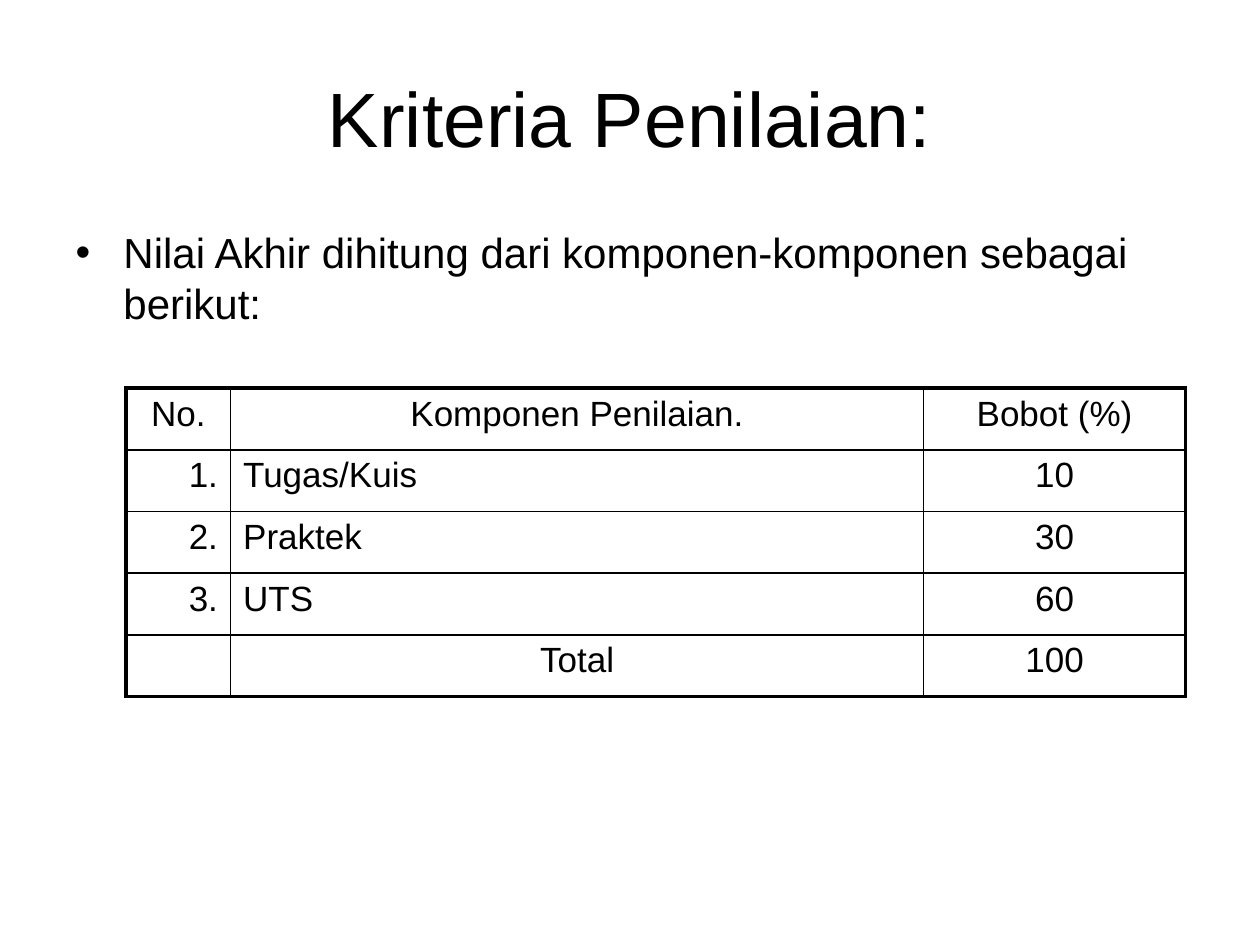
from lxml.etree import SubElement
from pptx import Presentation
from pptx.dml.color import RGBColor
from pptx.enum.text import MSO_ANCHOR, PP_ALIGN
from pptx.oxml.ns import qn
from pptx.util import Inches, Pt

TITLE = "Kriteria Penilaian:"
LEAD = "Nilai Akhir dihitung dari komponen-komponen sebagai berikut:"
ROWS = [
    ("No.", "Komponen Penilaian.", "Bobot (%)"),
    ("1.", "Tugas/Kuis", "10"),
    ("2.", "Praktek", "30"),
    ("3.", "UTS", "60"),
    ("", "Total", "100"),
]
WIDTHS = [0.83, 5.5, 2.08]
HEIGHT = 0.49
ALIGNS = [PP_ALIGN.RIGHT, PP_ALIGN.LEFT, PP_ALIGN.CENTER]
COLORS = {"ink": "000000", "back": "FFFFFF"}
THIN, THICK = 1, 2.25


def place(shape, left, top, width, height):
    shape.left, shape.top = Inches(left), Inches(top)
    shape.width, shape.height = Inches(width), Inches(height)


def style(para, size, align):
    para.alignment = align
    para.space_before = Pt(0)
    para.font.name = "Arial"
    para.font.size = Pt(size)
    para.font.bold = False
    para.font.color.rgb = RGBColor.from_string(COLORS["ink"])


def bullet(para, indent):
    props = para._p.get_or_add_pPr()
    props.set("marL", str(Inches(indent)))
    props.set("indent", str(-Inches(indent)))
    SubElement(props, qn("a:buFont"), typeface="Arial")
    SubElement(props, qn("a:buChar"), char="•")


def border(cell, sides):
    props = cell._tc.get_or_add_tcPr()
    for side, outer in sides.items():
        width = Pt(THICK if outer else THIN)
        line = SubElement(props, qn(f"a:ln{side}"), w=str(width))
        fill = SubElement(line, qn("a:solidFill"))
        SubElement(fill, qn("a:srgbClr"), val=COLORS["ink"])


deck = Presentation()
deck.slide_width, deck.slide_height = Inches(10), Inches(7.5)
slide = deck.slides.add_slide(deck.slide_layouts[1])
slide.background.fill.solid()
slide.background.fill.fore_color.rgb = RGBColor.from_string(COLORS["back"])

title = slide.shapes.title
place(title, 0.5, 0.3, 9, 1.25)
title.text_frame.text = TITLE
title.text_frame.vertical_anchor = MSO_ANCHOR.MIDDLE
style(title.text_frame.paragraphs[0], 44, PP_ALIGN.CENTER)

body = slide.placeholders[1]
place(body, 0.5, 1.75, 9, 0.92)
body.text_frame.text = LEAD
lead = body.text_frame.paragraphs[0]
bullet(lead, 0.38)
style(lead, 24, PP_ALIGN.LEFT)

last, end = len(ROWS) - 1, len(WIDTHS) - 1
frame = slide.shapes.add_table(
    len(ROWS), len(WIDTHS), Inches(1), Inches(3.08),
    Inches(sum(WIDTHS)), Inches(HEIGHT * len(ROWS)))
table = frame.table
table.first_row = table.horz_banding = False
for col, width in zip(table.columns, WIDTHS):
    col.width = Inches(width)
for r, row in enumerate(ROWS):
    table.rows[r].height = Inches(HEIGHT)
    for c, text in enumerate(row):
        cell = table.cell(r, c)
        cell.text = text
        align = PP_ALIGN.CENTER if r in (0, last) else ALIGNS[c]
        style(cell.text_frame.paragraphs[0], 20, align)
        border(cell, {"L": c == 0, "R": c == end, "T": r == 0, "B": r == last})
        cell.fill.background()

deck.save("out.pptx")
